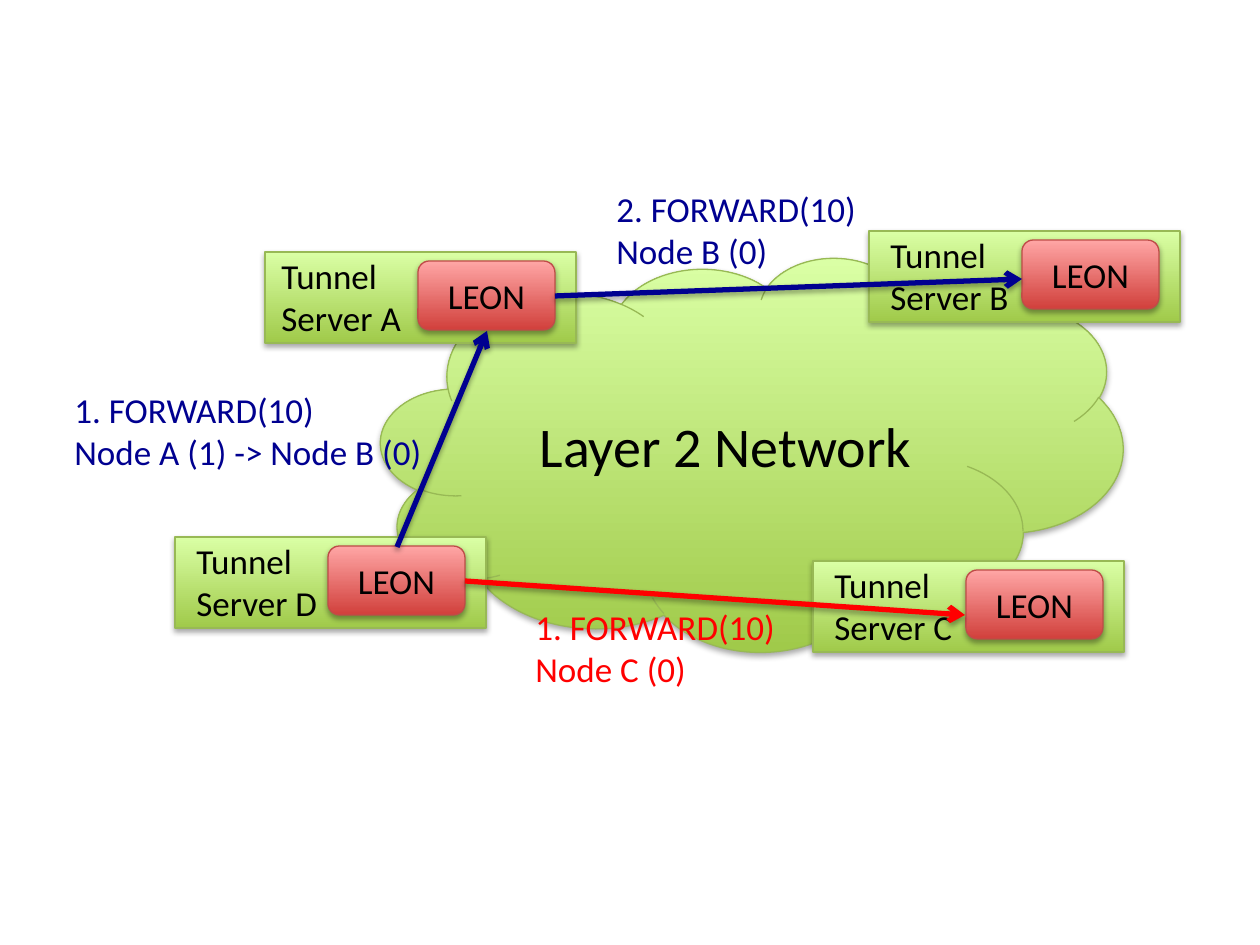
"""Build the tunnel server forwarding slide."""
from lxml import etree
from pptx import Presentation
from pptx import util as u
from pptx.dml.color import RGBColor
from pptx.enum import shapes, text
from pptx.oxml import parse_xml
from pptx.oxml.ns import nsdecls, qn

BLACK = RGBColor(0x00, 0x00, 0x00)
NAVY = RGBColor(0x00, 0x00, 0x90)
RED = RGBColor(0xFF, 0x00, 0x00)
GREEN = (RGBColor(0xA0, 0xCA, 0x4A), RGBColor(0xDA, 0xFF, 0xA5), RGBColor(0x98, 0xB9, 0x55))
ROSE = (RGBColor(0xD1, 0x40, 0x3C), RGBColor(0xFF, 0xA6, 0xA5), RGBColor(0xBF, 0x4C, 0x48))
KIND = shapes.MSO_SHAPE


def px(n):
    return u.Emu(round(n * 914400 / 126))


def write(frame, words, size=20, color=BLACK, align=text.PP_ALIGN.LEFT, font="Calibri"):
    frame.word_wrap = True
    frame.text = words
    for para in frame.paragraphs:
        para.alignment = align
        para.font.name = font
        para.font.size = u.Pt(size)
        para.font.color.rgb = color


def shade(props, dist, alpha):
    props.append(parse_xml(
        f'<a:effectLst {nsdecls("a")}><a:outerShdw blurRad="40000" dist="{dist}" '
        f'dir="5400000" rotWithShape="0"><a:srgbClr val="000000">'
        f'<a:alpha val="{alpha}"/></a:srgbClr></a:outerShdw></a:effectLst>'))


class Page:
    def __init__(self, deck):
        self.slide = deck.slides.add_slide(deck.slide_layouts[6])
        self.items = self.slide.shapes

    def block(self, kind, box, tone, words="", size=20):
        low, high, edge = tone
        item = self.items.add_shape(kind, *map(px, box))
        item.fill.gradient()
        item.fill.gradient_angle = 90
        for stop, hue, spot in zip(item.fill.gradient_stops, (low, high), (0, 1)):
            stop.color.rgb = hue
            stop.position = spot
        item.line.color.rgb = edge
        item.line.width = u.Pt(0.75)
        shade(item._element.spPr, 23000, 35000)
        if words:
            item.text_frame.vertical_anchor = text.MSO_ANCHOR.MIDDLE
            write(item.text_frame, words, size=size, align=text.PP_ALIGN.CENTER)

    def label(self, x, y, wide, words, color=BLACK):
        item = self.items.add_textbox(*map(px, (x, y, wide, 97)))
        write(item.text_frame, words, color=color)
        item.text_frame.auto_size = text.MSO_AUTO_SIZE.SHAPE_TO_FIT_TEXT

    def server(self, x, y, name, inset=9):
        self.block(KIND.RECTANGLE, (x, y, 311, 91), GREEN)
        self.block(KIND.ROUNDED_RECTANGLE, (x + 153, y + 9, 137, 69), ROSE, "LEON")
        self.label(x + inset, y - 4, 175, f"Tunnel Server {name}")

    def arrow(self, start, end, color):
        item = self.items.add_connector(
            shapes.MSO_CONNECTOR.STRAIGHT, *map(px, start + end))
        item.line.color.rgb = color
        item.line.width = u.Pt(3)
        etree.SubElement(item.line._get_or_add_ln(), qn("a:tailEnd"), type="arrow")
        shade(item._element.spPr, 20000, 38000)


def main():
    deck = Presentation()
    deck.slide_width, deck.slide_height = u.Inches(10), u.Inches(7.5)
    page = Page(deck)
    page.block(KIND.CLOUD, (381, 257, 742, 394), GREEN, "Layer 2 Network", size=32)
    page.server(869, 231, "B")
    page.server(265, 252, "A", inset=4)
    page.server(813, 561, "C")
    page.server(175, 537, "D")
    page.label(523, 599, 299, "1. FORWARD(10)\nNode C (0)", RED)
    page.arrow((397, 547), (487, 331), NAVY)
    page.label(62, 382, 398, "1. FORWARD(10)\nNode A (1) -> Node B (0)", NAVY)
    page.arrow((555, 296), (1022, 279), NAVY)
    page.arrow((465, 581), (965, 615), RED)
    page.label(604, 181, 310, "2. FORWARD(10)\nNode B (0)", NAVY)
    deck.save("out.pptx")


if __name__ == "__main__":
    main()
